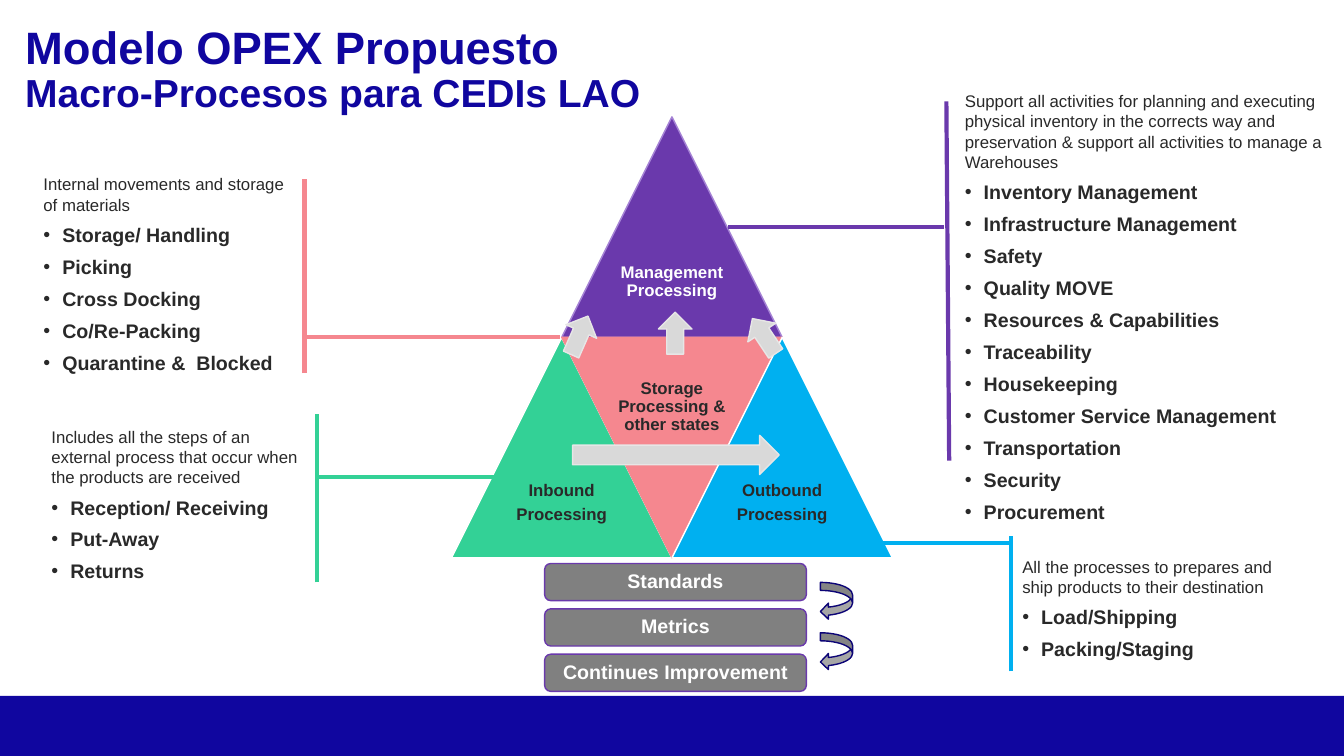
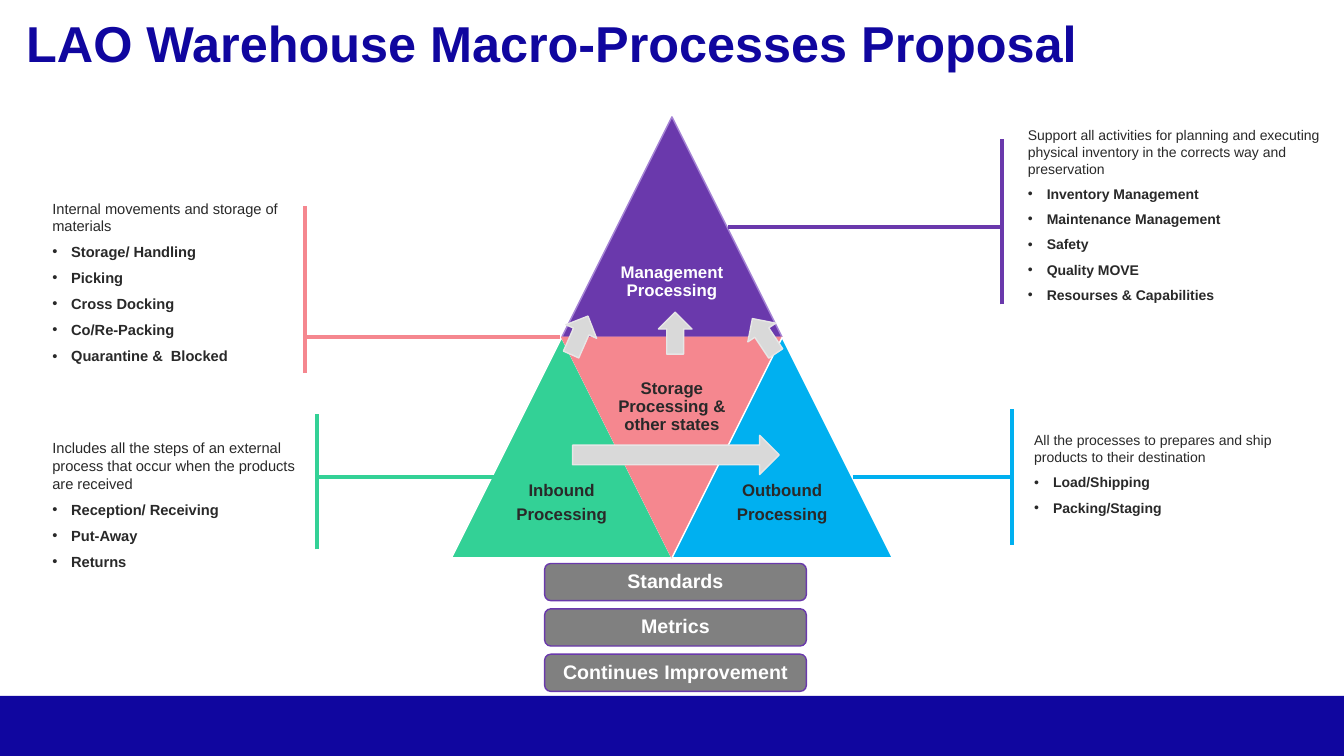
from lxml.etree import SubElement
from pptx import Presentation
from pptx.dml.color import RGBColor
from pptx.enum.shapes import MSO_CONNECTOR, MSO_SHAPE
from pptx.enum.text import MSO_ANCHOR, MSO_AUTO_SIZE, PP_ALIGN
from pptx.oxml.ns import qn
from pptx.util import Pt

COLORS = {
    "navy": "10069F", "deep_navy": "0C0476", "ink": "292929", "white": "FFFFFF",
    "purple": "6A39AC", "lilac": "A582D5", "green": "33D196", "pink": "F5878F",
    "blue": "00B0F0", "gray": "808080", "mid_gray": "A6A6A6",
    "light_gray": "D9D9D9", "pale_gray": "E7E6E6",
}
FONT = "Arial"
INDENT = 13.5
SIDE = 157.5
APEX = (480, 83.5)
BARS = ["Standards", "Metrics", "Continues Improvement"]
BAR_TOP, BAR_STEP = 402.5, 32.4

STORAGE = ("Internal movements and storage of materials",
           ["Storage/ Handling", "Picking", "Cross Docking", "Co/Re-Packing", "Quarantine &  Blocked"])
INBOUND = ("Includes all the steps of an external process that occur when the products are received",
           ["Reception/ Receiving", "Put-Away", "Returns"])
OUTBOUND = ("All the processes to prepares and ship products to their destination",
            ["Load/Shipping", "Packing/Staging"])
MANAGEMENT_FULL = (
    "Support all activities for planning and executing physical inventory in the corrects way "
    "and preservation & support all activities to manage a Warehouses",
    ["Inventory Management", "Infrastructure Management", "Safety", "Quality MOVE",
     "Resources & Capabilities", "Traceability", "Housekeeping", "Customer Service Management",
     "Transportation", "Security", "Procurement"])
MANAGEMENT_SHORT = (
    "Support all activities for planning and executing physical inventory in the corrects way "
    "and preservation",
    ["Inventory Management", "Maintenance Management", "Safety", "Quality MOVE",
     "Resourses & Capabilities"])

STORAGE_LINK = (217.5, 240.7, 400.3, 240.7)
INBOUND_LINK = (227, 340.5, 354, 340.5)

SLIDES = [
    {
        "title": [("Modelo OPEX Propuesto", 32.4), ("Macro-Procesos para CEDIs LAO", 27.9)],
        "title_at": (10.8, 14.4),
        "cycle": True,
        "callouts": [
            (MANAGEMENT_FULL, "purple", (682, 113.8, 277, 211), 12, 14,
             (520, 162, 674, 162), (678, 329, 676, 72.5)),
            (STORAGE, "pink", (23.8, 112.3, 197.3, 167), 12, 14,
             STORAGE_LINK, (217.5, 266.5, 217.5, 128)),
            (INBOUND, "green", (29.5, 296, 198, 129), 12, 14,
             INBOUND_LINK, (226.3, 416, 226.3, 296)),
            (OUTBOUND, "blue", (723, 380, 208, 109.5), 12, 14,
             (620.5, 388, 723, 388), (722.3, 479.5, 722.3, 383)),
        ],
    },
    {
        "title": [("LAO Warehouse Macro-Processes Proposal", 36)],
        "title_at": (11.5, 10),
        "cycle": False,
        "callouts": [
            (MANAGEMENT_SHORT, "purple", (727, 73.5, 233, 160), 10, 10,
             (520, 162, 716, 162), (715.5, 217.5, 715.5, 99.5)),
            (STORAGE, "pink", (30.2, 118, 187, 167), 10.5, 10.5,
             STORAGE_LINK, (217.8, 266.5, 217.8, 147)),
            (INBOUND, "green", (30.2, 296, 198, 129), 10.5, 10.5,
             INBOUND_LINK, (226.3, 392.5, 226.3, 296)),
            (OUTBOUND, "blue", (731.5, 283.7, 208, 109.5), 10, 10,
             (609, 340.5, 722, 340.5), (722.9, 389, 722.9, 292.5)),
        ],
    },
]


def rgb(name):
    """Return the named colour."""
    return RGBColor.from_string(COLORS[name])


def write(tf, text, *, size, color="ink", bold=False, align=PP_ALIGN.LEFT,
          spacing=1.0, before=0, after=0, bullet=False):
    """Add one formatted paragraph to a text frame, filling its first one if empty."""
    p = tf.paragraphs[0] if not tf.text else tf.add_paragraph()
    p.alignment = align
    p.line_spacing = spacing
    p.space_before, p.space_after = Pt(before), Pt(after)
    pPr = p._p.get_or_add_pPr()
    pPr.set("marL", str(Pt(INDENT) if bullet else 0))
    pPr.set("indent", str(-Pt(INDENT) if bullet else 0))
    if bullet:
        SubElement(pPr, qn("a:buFont")).set("typeface", FONT)
        SubElement(pPr, qn("a:buChar")).set("char", "•")
    else:
        SubElement(pPr, qn("a:buNone"))
    r = p.add_run()
    r.text = text
    r.font.name, r.font.size, r.font.bold = FONT, Pt(size), bold
    r.font.color.rgb = rgb(color)


class Deck:
    """Holds the presentation, its style and the current slide."""

    def __init__(self):
        """Start an empty widescreen presentation."""
        self.prs = Presentation()
        self.prs.slide_width, self.prs.slide_height = Pt(960), Pt(540)
        self.layout = self.prs.slide_layouts.get_by_name("Comparison")
        self.slide = None

    def new_slide(self):
        """Add a slide; the first one also gives the master its band."""
        first = self.slide is None
        self.slide = self.prs.slides.add_slide(self.layout)
        if first:
            band = self.shape(MSO_SHAPE.RECTANGLE, (0, 497, 960, 43), "navy")
            band.element.nvSpPr.cNvPr.set("id", "99")
            self.prs.slide_master.shapes.element.insert(2, band.element)

    def place(self, sp, box):
        """Move a shape to a box in points."""
        sp.left, sp.top, sp.width, sp.height = map(Pt, box)

    def frame(self, sp, anchor, inset=None):
        """Prepare the text frame of a shape."""
        tf = sp.text_frame
        tf.word_wrap = True
        tf.auto_size = MSO_AUTO_SIZE.NONE
        tf.vertical_anchor = anchor
        if inset is not None:
            tf.margin_left = tf.margin_right = tf.margin_top = tf.margin_bottom = Pt(inset)
        return tf

    def title(self, lines, at):
        """Fill the title placeholder with sized lines."""
        sp = self.slide.shapes.title
        self.place(sp, (*at, 944, 62.6))
        tf = self.frame(sp, MSO_ANCHOR.TOP)
        for text, size in lines:
            write(tf, text, size=size, color="navy", bold=True, spacing=0.9)

    def shape(self, kind, box, fill, line=None, rotation=0):
        """Draw a preset shape."""
        sp = self.slide.shapes.add_shape(kind, *map(Pt, box))
        sp.shadow.inherit = False
        sp.rotation = rotation
        sp.fill.solid()
        sp.fill.fore_color.rgb = rgb(fill)
        if line:
            sp.line.color.rgb = rgb(line)
            sp.line.width = Pt(1)
        else:
            sp.line.fill.background()
        return sp

    def line(self, ends, color):
        """Draw a straight line."""
        cxn = self.slide.shapes.add_connector(MSO_CONNECTOR.STRAIGHT, *map(Pt, ends))
        cxn.line.color.rgb = rgb(color)
        cxn.line.width = Pt(3)
        SubElement(cxn.element.spPr, qn("a:effectLst"))

    def label(self, sp, lines, size, color):
        """Write centred bold lines in a shape."""
        tf = self.frame(sp, MSO_ANCHOR.MIDDLE, 0.7)
        after = 4.2 if len(lines) > 1 else 0
        for text in lines:
            write(tf, text, size=size, color=color, bold=True, align=PP_ALIGN.CENTER,
                  spacing=0.9, after=after)

    def triangle(self, x, y, fill, line, lines, color="ink", rotation=0, drop=SIDE / 2):
        """Draw a labelled triangle centred on x."""
        self.shape(MSO_SHAPE.ISOSCELES_TRIANGLE, (x - SIDE / 2, y, SIDE, SIDE), fill, line, rotation)
        box = (x - SIDE / 4, y + drop, SIDE / 2, SIDE / 2)
        self.label(self.slide.shapes.add_textbox(*map(Pt, box)), lines, 12, color)

    def pyramid(self):
        """Draw the four process triangles."""
        x, y = APEX
        base = y + SIDE
        self.triangle(x, y, "purple", "lilac", ["Management Processing"], "white")
        self.triangle(x - SIDE / 2, base, "green", "white", ["Inbound", "Processing"])
        self.triangle(x, base, "pink", "pink", ["Storage Processing & other states"],
                      rotation=180, drop=10.5)
        self.triangle(x + SIDE / 2, base, "blue", "white", ["Outbound", "Processing"])

    def arrows(self):
        """Draw the flow arrows over the pyramid."""
        for x, y, w, h, rotation in [(409, 311, 147.6, 28, 0), (467.3, 226, 30, 24, 270),
                                     (399, 227.5, 30, 24, 293.8), (530.8, 228, 30, 24, 236.2)]:
            self.shape(MSO_SHAPE.RIGHT_ARROW, (x, y, w, h), "light_gray", "pale_gray", rotation)

    def bars(self):
        """Draw the foundation bars."""
        for i, text in enumerate(BARS):
            sp = self.shape(MSO_SHAPE.ROUNDED_RECTANGLE,
                            (389, BAR_TOP + i * BAR_STEP, 187, 26.6), "gray", "purple")
            self.label(sp, [text], 14, "white")

    def cycle(self):
        """Draw the curved arrows beside the bars."""
        for y in (416, 452):
            self.shape(MSO_SHAPE.CURVED_LEFT_ARROW, (586, y, 23, 26.6), "mid_gray", "deep_navy")

    def callout(self, sp, content, color, box, intro_size, item_size, link, bracket):
        """Fill a body placeholder and tie it to its triangle."""
        self.place(sp, box)
        tf = self.frame(sp, MSO_ANCHOR.MIDDLE)
        intro, items = content
        write(tf, intro, size=intro_size, before=6)
        for item in items:
            write(tf, item, size=item_size, bold=True, before=6, bullet=True)
        self.line(link, color)
        self.line(bracket, color)


def main():
    """Build and save the deck."""
    deck = Deck()
    for data in SLIDES:
        deck.new_slide()
        deck.title(data["title"], data["title_at"])
        deck.pyramid()
        bodies = list(deck.slide.placeholders)[1:]
        for sp, callout in zip(bodies, data["callouts"]):
            deck.callout(sp, *callout)
        deck.bars()
        deck.arrows()
        if data["cycle"]:
            deck.cycle()
    deck.prs.save("out.pptx")


if __name__ == "__main__":
    main()
